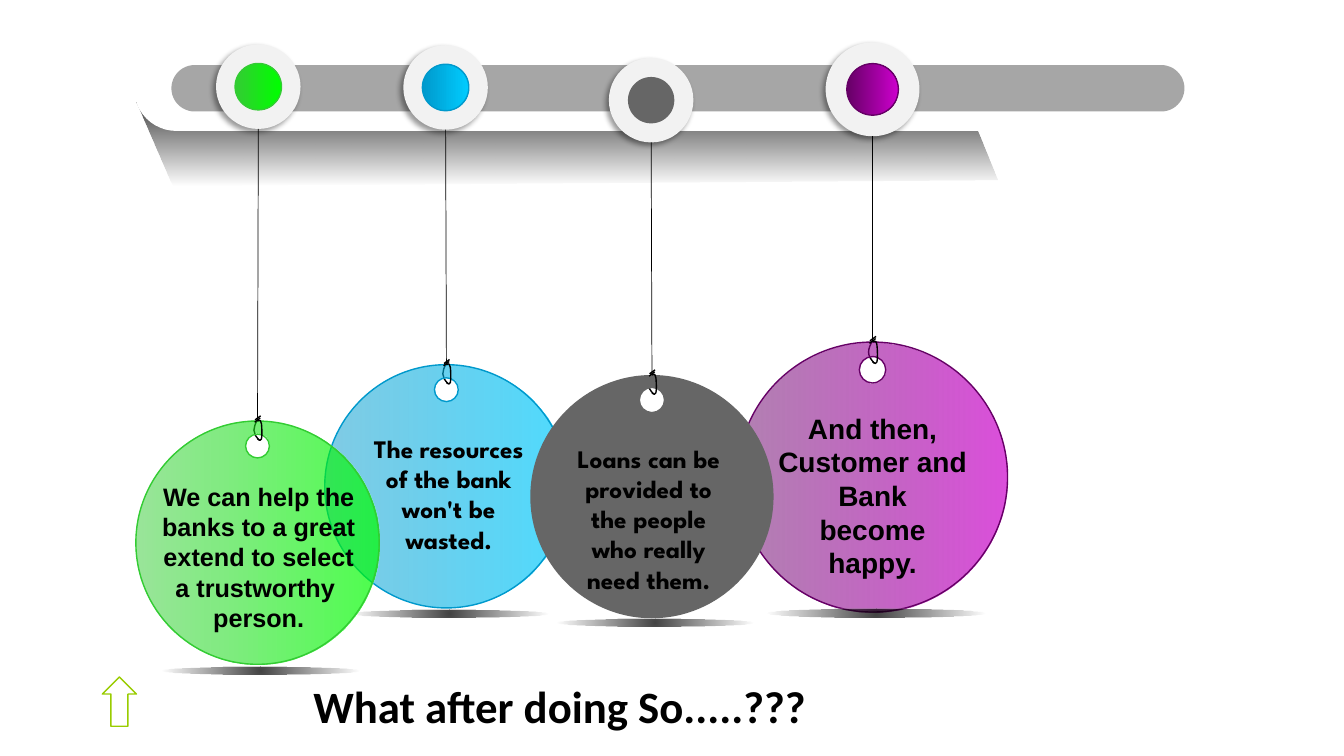
import pptx
import pptx.dml.color
import pptx.enum.shapes
import pptx.enum.text
import pptx.oxml
import pptx.oxml.ns
import pptx.util
from pptx.oxml.ns import qn
from pptx.util import Cm

RGB = pptx.dml.color.RGBColor
SHAPE = pptx.enum.shapes.MSO_SHAPE
ALIGN = pptx.enum.text.PP_ALIGN

BLACK = RGB(0x00, 0x00, 0x00)
WHITE = RGB(0xFF, 0xFF, 0xFF)
BAR_GRAY = RGB(0xA6, 0xA6, 0xA6)
RIM_GRAY = RGB(0xF2, 0xF2, 0xF2)
DARK_GRAY = RGB(0x66, 0x66, 0x66)
DARK_GREEN, GREEN = RGB(0x33, 0xCC, 0x33), RGB(0x00, 0xFF, 0x00)
DARK_BLUE, BLUE = RGB(0x00, 0x99, 0xCC), RGB(0x00, 0xCC, 0xFF)
DARK_PURPLE, PURPLE = RGB(0x66, 0x00, 0x66), RGB(0xCC, 0x00, 0xCC)
LIME = RGB(0x99, 0xCC, 0x00)

NS = pptx.oxml.ns.nsdecls("a")
DOWN = '<a:lin ang="5400000" scaled="0"/>'
ACROSS = '<a:lin ang="0" scaled="0"/>'
RADIAL = ('<a:path path="circle"><a:fillToRect l="50000" t="50000" '
          'r="50000" b="50000"/></a:path>')
FADE = ((BLACK, 74), (BLACK, 0))

# Knot strokes, in cm from the top of the disc: two curves and two straight ends
LOOP_BACK = [(0.04, 0.48), (-0.04, 0.39), (-0.09, 0.32), (-0.09, 0.23),
             (-0.09, 0.14), (-0.05, 0.06), (0, -0.03)]
LOOP_FRONT = [(0, 0), (0.07, -0.05), (0.09, 0), (0.1, 0.07), (0.11, 0.15),
              (0.12, 0.38), (0.1, 0.45), (0.08, 0.51), (0.05, 0.49), (0, 0.45)]
KNOT_ENDS = [[(-0.07, 0.03), (0.07, -0.08)], [(-0.06, -0.03), (0.08, -0.13)]]

# Unit circle as four Bezier curves
K = 0.55
UNIT_CIRCLE = [(0, -1), (K, -1), (1, -K), (1, 0), (1, K), (K, 1), (0, 1),
               (-K, 1), (-1, K), (-1, 0), (-1, -K), (-K, -1), (0, -1)]


def write_text(frame, text, *, size, font, color=BLACK, align=ALIGN.CENTER):
    frame.word_wrap = True
    frame.vertical_anchor = pptx.enum.text.MSO_ANCHOR.TOP
    frame.text = text
    for paragraph in frame.paragraphs:
        paragraph.alignment = align
        for run in paragraph.runs:
            run.font.size = pptx.util.Pt(size)
            run.font.name = font
            run.font.bold = True
            run.font.color.rgb = color


def circle(cx, cy, radius):
    return [(cx + radius * x, cy + radius * y) for x, y in UNIT_CIRCLE]


def bend(shape):
    """Turn every three line segments of a freeform into one Bezier curve."""
    segments = list(shape._element.iter(qn("a:lnTo")))
    for first, second, third in zip(*[iter(segments)] * 3):
        curve = pptx.oxml.parse_xml(f"<a:cubicBezTo {NS}/>")
        first.addprevious(curve)
        for segment in (first, second, third):
            curve.append(segment[0])
            segment.getparent().remove(segment)


class Canvas:
    """Draws styled elements on the slide, or in its current group, in cm."""

    def __init__(self, slide):
        self.slide = slide
        self.shapes = slide.shapes

    def open_group(self):
        self.shapes = self.slide.shapes.add_group_shape().shapes

    def paint(self, shape, fill, line, direction=ACROSS):
        """Apply a fill (None, a colour or (colour, opacity) stops) and an outline."""
        shape.shadow.inherit = False
        if isinstance(fill, RGB):
            shape.fill.solid()
            shape.fill.fore_color.rgb = fill
        else:
            shape.fill.background()
        if isinstance(fill, tuple) and not isinstance(fill, RGB):
            stops = "".join(
                f'<a:gs pos="{pos}"><a:srgbClr val="{color}">'
                f'<a:alpha val="{opacity * 1000}"/></a:srgbClr></a:gs>'
                for pos, (color, opacity) in zip((0, 100000), fill))
            gradient = pptx.oxml.parse_xml(
                f'<a:gradFill {NS} rotWithShape="1"><a:gsLst>{stops}</a:gsLst>{direction}</a:gradFill>')
            properties = shape._element.spPr
            properties.replace(properties.find(qn("a:noFill")), gradient)
        if line is None:
            shape.line.fill.background()
        else:
            shape.line.color.rgb = line
            shape.line.width = pptx.util.Pt(1)

    def preset(self, kind, left, top, width, height, fill, line=None, direction=ACROSS):
        shape = self.shapes.add_shape(kind, Cm(left), Cm(top), Cm(width), Cm(height))
        self.paint(shape, fill, line, direction)
        return shape

    def round_bar(self, left, top, width, height, fill):
        bar = self.preset(SHAPE.ROUNDED_RECTANGLE, left, top, width, height, fill)
        bar.adjustments[0] = 0.5

    def ball(self, cx, cy, diameter, fill, line=None):
        return self.preset(SHAPE.OVAL, cx - diameter / 2, cy - diameter / 2,
                           diameter, diameter, fill, line)

    def outline(self, contours, fill=None, line=None, direction=ACROSS, curved=False):
        contours = [[(Cm(x), Cm(y)) for x, y in contour] for contour in contours]
        builder = self.shapes.build_freeform(*contours[0][0])
        for index, contour in enumerate(contours):
            if index:
                builder.move_to(*contour[0])
            builder.add_line_segments(contour[1:], close=fill is not None)
        shape = builder.convert_to_shape()
        if curved:
            bend(shape)
        self.paint(shape, fill, line, direction)

    def cord(self, start, end):
        line = self.shapes.add_connector(pptx.enum.shapes.MSO_CONNECTOR.STRAIGHT,
                                         *(Cm(value) for value in (*start, *end)))
        line.line.color.rgb = BLACK
        line.line.width = pptx.util.Pt(0.5)
        line._element.spPr.append(pptx.oxml.parse_xml(f"<a:effectLst {NS}/>"))

    def drop_shadow(self, shape):
        effects = shape._element.spPr.find(qn("a:effectLst"))
        effects.append(pptx.oxml.parse_xml(
            f'<a:outerShdw {NS} blurRad="50800" dist="38100" dir="8100000" algn="tr" rotWithShape="0">'
            '<a:srgbClr val="000000"><a:alpha val="40000"/></a:srgbClr></a:outerShdw>'))

    def text(self, left, top, width, height, text, **style):
        box = self.shapes.add_textbox(Cm(left), Cm(top), Cm(width), Cm(height))
        write_text(box.text_frame, text, **style)

    def title(self, left, top, width, height, text, **style):
        title = self.slide.shapes.title
        title.left, title.top, title.width, title.height = map(Cm, (left, top, width, height))
        write_text(title.text_frame, text, **style)

    def pendulum(self, bead_cx, bead_top, cx, disc_top, shadow_top, colors, text_box, text,
                 scale=1.0, size=18, font="Arial"):
        """Hang a labelled disc from a bead on the bar."""
        dark, bright = colors
        plain = dark == bright
        rim = None if plain else dark
        bead, disc = 2.13 * scale, 6.13 * scale

        def at_knot(points):
            return [(cx + x * scale, disc_top + y * scale) for x, y in points]

        self.open_group()
        self.outline([at_knot(LOOP_BACK)], line=BLACK, curved=True)
        hole = circle(cx, disc_top + 0.63 * scale, 0.3 * scale)
        self.outline([hole, circle(cx, disc_top + disc / 2, disc / 2)],
                     dark if plain else ((dark, 50), (bright, 70)), rim, curved=True)
        bead_middle = bead_top + bead / 2
        self.drop_shadow(self.ball(bead_cx, bead_middle, bead, RIM_GRAY))
        self.ball(bead_cx, bead_middle, 1.17 * scale,
                  dark if plain else ((dark, 100), (bright, 100)), rim)
        self.cord((bead_cx, bead_top + bead), (cx, disc_top))
        self.outline([at_knot(LOOP_FRONT)], line=BLACK, curved=True)
        for knot_end in KNOT_ENDS:
            self.outline([at_knot(knot_end)], line=BLACK)
        shadow_width = 4.98 * scale
        self.preset(SHAPE.OVAL, cx + 0.08 - shadow_width / 2, shadow_top,
                    shadow_width, 0.2 * scale, FADE, direction=RADIAL)
        self.text(*text_box, text, size=size, font=font)


def main():
    deck = pptx.Presentation()
    deck.slide_width, deck.slide_height = Cm(33.87), Cm(19.05)
    canvas = Canvas(deck.slides.add_slide(deck.slide_layouts[5]))
    canvas.title(4.11, 16.98, 16.46, 1.63, "What after doing So.....???",
                 size=32, font="Calibri", align=ALIGN.RIGHT)
    canvas.outline([[(4.37, 4.67), (3.45, 2.59), (24.52, 3), (25.15, 4.52)]], FADE, direction=DOWN)
    canvas.round_bar(3.38, 1.17, 27.23, 2.13, WHITE)
    canvas.round_bar(4.32, 1.64, 25.53, 1.17, BAR_GRAY)
    canvas.preset(SHAPE.UP_ARROW, 2.58, 17.06, 0.86, 1.24, WHITE, LIME)

    canvas.pendulum(21.99, 1.07, 21.99, 8.62, 15.34, (DARK_PURPLE, PURPLE),
                    (18.65, 10.24, 6.68, 4.52),
                    "And then, Customer and Bank\nbecome\nhappy.", scale=1.11, size=20)
    canvas.pendulum(11.23, 1.14, 11.25, 9.19, 15.37, (DARK_BLUE, BLUE), (9.1, 10.79, 4.42, 4.09),
                    "The resources of the bank won't be wasted.", font="League Spartan")
    canvas.pendulum(6.51, 1.12, 6.49, 10.61, 16.79, (DARK_GREEN, GREEN), (3.8, 12, 5.44, 4.09),
                    "We can help the banks to a great extend to select a trustworthy  person.")
    canvas.pendulum(16.41, 1.46, 16.43, 9.45, 15.59, (DARK_GRAY, DARK_GRAY), (14, 11.04, 4.7, 4.09),
                    "Loans can be provided to the people who really need them.",
                    font="League Spartan")
    deck.save("out.pptx")


if __name__ == "__main__":
    main()
